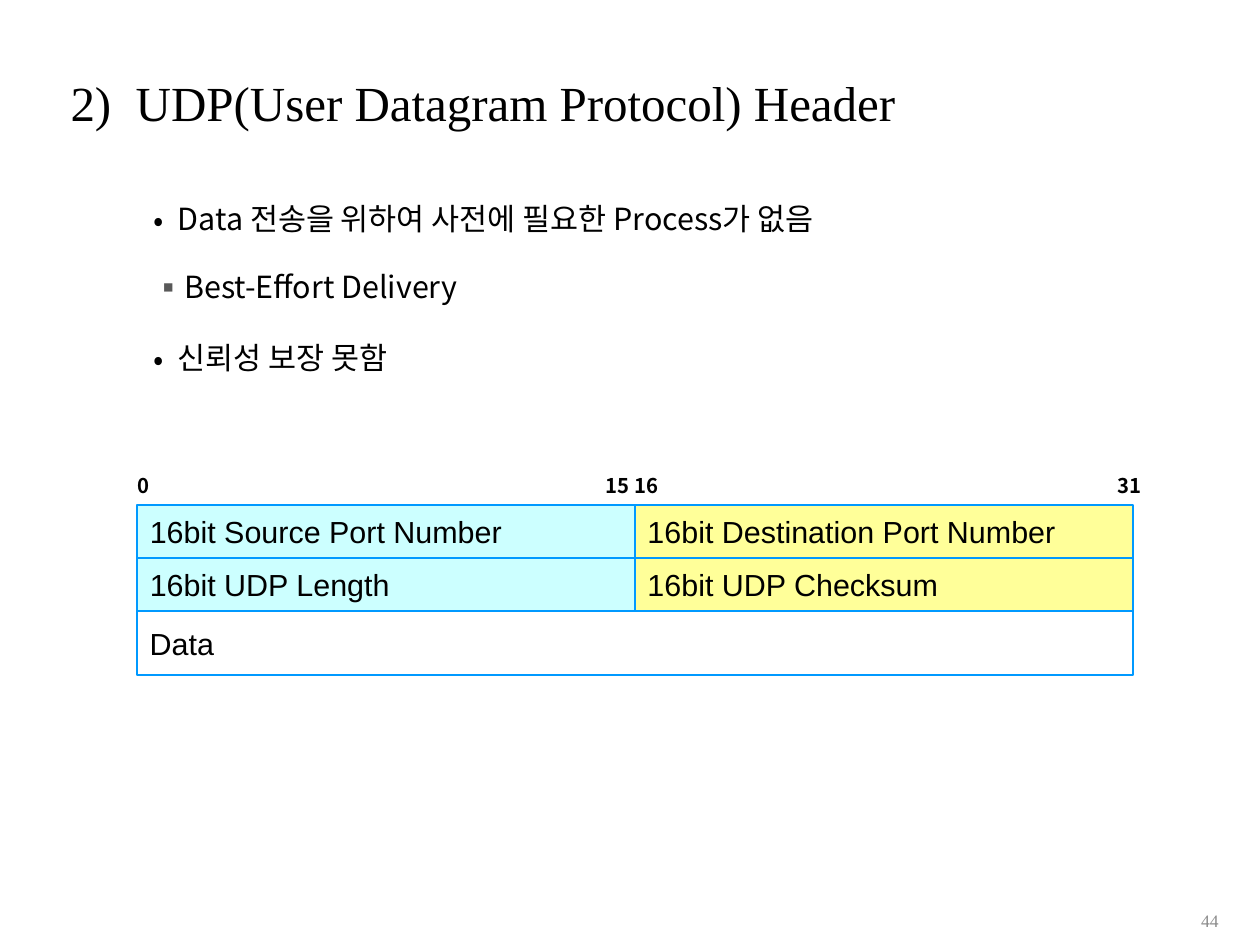
from lxml.etree import SubElement
from pptx import Presentation
from pptx.dml.color import RGBColor
from pptx.enum.shapes import MSO_SHAPE
from pptx.enum.text import MSO_ANCHOR, MSO_AUTO_SIZE, PP_ALIGN
from pptx.oxml.ns import qn
from pptx.util import Inches, Pt

BLACK = RGBColor(0, 0, 0)
WHITE = RGBColor(255, 255, 255)
GREY = RGBColor(0x8C, 0x8C, 0x8C)
BULLET_GREY = RGBColor(0x59, 0x59, 0x59)
CYAN = RGBColor(0xCC, 0xFF, 0xFF)
YELLOW = RGBColor(0xFF, 0xFF, 0x99)
BLUE = RGBColor(0, 0x99, 0xFF)
SERIF, SANS, KOREAN = "Times New Roman", "Arial", "Noto Sans CJK KR"

BULLETS = [
    ("Data 전송을 위하여 사전에 필요한 Process가 없음", 2, "•", BLACK, 2.9),
    ("Best-Effort Delivery", 1, "▪", BULLET_GREY, 3.9),
    ("신뢰성 보장 못함", 2, "•", BLACK, 2.9),
]
FIELDS = [
    ("16bit Source Port Number", 0, 0, 1, 1, CYAN),
    ("16bit Destination Port Number", 1, 0, 1, 1, YELLOW),
    ("16bit UDP Length", 0, 1, 1, 1, CYAN),
    ("16bit UDP Checksum", 1, 1, 1, 1, YELLOW),
    ("Data", 0, 2, 2, 1.21, WHITE),
]
BIT_LABELS = [("0", -0.1, 0.29), ("15 16", 3.62, 0.63), ("31", 7.68, 0.39)]


def place(shape, box):
    shape.left, shape.top, shape.width, shape.height = [Inches(v) for v in box]


def style(para, name, size, color=BLACK, bold=False):
    font = para.font
    font.name, font.size, font.bold = name, Pt(size), bold
    font.color.rgb = color
    for span in para.runs:
        SubElement(span._r.get_or_add_rPr(), qn("a:ea")).set("typeface", name)


def add_bullet(para, mark, color):
    props = para._p.get_or_add_pPr()
    props.set("marL", str(Inches(1.04)))
    props.set("indent", str(Inches(-0.19)))
    tint = SubElement(SubElement(props, qn("a:buClr")), qn("a:srgbClr"))
    tint.set("val", str(color))
    SubElement(props, qn("a:buFont")).set("typeface", KOREAN)
    SubElement(props, qn("a:buChar")).set("char", mark)


def fill_title(title, box):
    place(title, box)
    frame = title.text_frame
    frame.text = "2)  UDP(User Datagram Protocol) Header"
    frame.auto_size = MSO_AUTO_SIZE.NONE
    frame.vertical_anchor = MSO_ANCHOR.MIDDLE
    para = frame.paragraphs[0]
    para.alignment, para.line_spacing = PP_ALIGN.LEFT, 0.9
    style(para, SERIF, 28)


def fill_body(body, box):
    place(body, box)
    frame = body.text_frame
    frame.text = "\n".join(item[0] for item in BULLETS)
    frame.auto_size = MSO_AUTO_SIZE.NONE
    for para, (_, level, mark, color, after) in zip(frame.paragraphs, BULLETS):
        para.level, para.line_spacing = level, 1.5
        para.space_before, para.space_after = Pt(5), Pt(after)
        add_bullet(para, mark, color)
        style(para, KOREAN, 17.4)


def add_label(page, text, box):
    label = page.shapes.add_textbox(*[Inches(v) for v in box])
    label.text_frame.text = text
    return label.text_frame


def add_header_diagram(page, box):
    left, top, width, row = box
    column = width / 2
    for text, col, line, columns, rows, color in FIELDS:
        field = page.shapes.add_shape(MSO_SHAPE.RECTANGLE, 0, 0, 0, 0)
        place(field, (left + col * column, top + line * row, columns * column, rows * row))
        field.shadow.inherit = False
        field.fill.solid()
        field.fill.fore_color.rgb = color
        field.line.color.rgb = BLUE
        field.line.width = Pt(1)
        frame = field.text_frame
        frame.text = text
        frame.vertical_anchor = MSO_ANCHOR.MIDDLE
        frame.paragraphs[0].alignment = PP_ALIGN.LEFT
        style(frame.paragraphs[0], SANS, 17.4)
    for text, offset, label_width in BIT_LABELS:
        frame = add_label(page, text, (left + offset, top - 0.36, label_width, 0.32))
        frame.word_wrap = False
        frame.auto_size = MSO_AUTO_SIZE.SHAPE_TO_FIT_TEXT
        frame.paragraphs[0].line_spacing = 1.3
        style(frame.paragraphs[0], KOREAN, 11.6, bold=True)


def add_page_number(page, box):
    frame = add_label(page, "44", box)
    frame.word_wrap = True
    frame.vertical_anchor = MSO_ANCHOR.MIDDLE
    frame.paragraphs[0].alignment = PP_ALIGN.RIGHT
    style(frame.paragraphs[0], SERIF, 10, GREY)


def main():
    deck = Presentation()
    deck.slide_width, deck.slide_height = Inches(10), Inches(7.5)
    page = deck.slides.add_slide(deck.slide_layouts[1])
    fill_title(page.shapes.title, (0.46, 0.52, 10.13, 0.63))
    fill_body(page.placeholders[1], (0.27, 1.39, 9.45, 5.73))
    add_page_number(page, (8.86, 7.11, 0.91, 0.39))
    add_header_diagram(page, (1.09, 4.01, 7.9, 0.42))
    deck.save("out.pptx")


if __name__ == "__main__":
    main()
